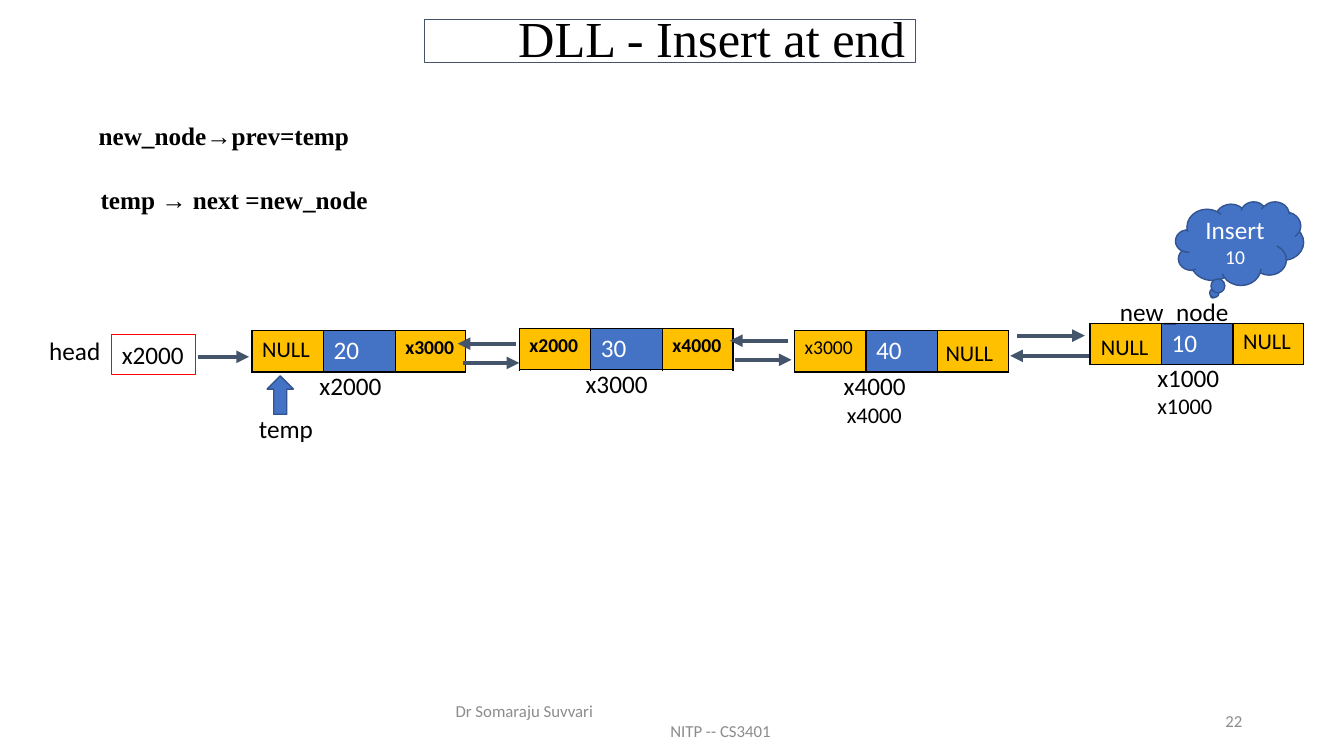
from lxml.etree import SubElement
from pptx import Presentation
from pptx.dml.color import RGBColor
from pptx.enum.shapes import MSO_CONNECTOR as Line, MSO_SHAPE as Shape
from pptx.enum.text import MSO_ANCHOR as Anchor, MSO_AUTO_SIZE as AutoSize, PP_ALIGN as Align
from pptx.oxml.ns import qn
from pptx.util import Pt

PX = 9144
BLACK, WHITE, GREY, SLATE = "000000", "FFFFFF", "8C8C8C", "44546A"
BLUE, BLUE_EDGE, GOLD, RED = "4472C4", "325491", "FFC000", "FF0000"
SERIF = "Times New Roman"


def px(*lengths):
    """Turn pixel lengths into EMU."""
    return [length * PX for length in lengths]


def rgb(code):
    """Turn a hex string into a colour."""
    return RGBColor.from_string(code)


def write(paragraph, words, size=18, color=BLACK, **formats):
    """Add a formatted run to a paragraph."""
    run = paragraph.add_run()
    run.text = words
    run.font.color.rgb = rgb(color)
    for key, value in {"name": "Calibri", "size": Pt(size), "bold": False, **formats}.items():
        setattr(run.font, key, value)


def label(slide, box, words, align=Align.LEFT, anchor=Anchor.TOP, **formats):
    """Place a text box with one line of text and return its frame."""
    frame = slide.shapes.add_textbox(*px(*box)).text_frame
    frame.word_wrap = True
    frame.vertical_anchor = anchor
    frame.paragraphs[0].alignment = align
    write(frame.paragraphs[0], words, **formats)
    return frame


def outline(shape, color, width):
    """Give a shape a solid outline."""
    shape.line.color.rgb = rgb(color)
    shape.line.width = Pt(width)


def block(slide, kind, box, fill, edge, width):
    """Place a preset shape without shadow."""
    shape = slide.shapes.add_shape(kind, *px(*box))
    shape.shadow.inherit = False
    if fill:
        shape.fill.solid()
        shape.fill.fore_color.rgb = rgb(fill)
    else:
        shape.fill.background()
    outline(shape, edge, width)
    return shape


def arrow(slide, start, end, y):
    """Draw a level arrow from start to end."""
    link = slide.shapes.add_connector(Line.STRAIGHT, *px(start, y, end, y))
    outline(link, SLATE, 3)
    SubElement(link.line._get_or_add_ln(), qn("a:tailEnd"), type="triangle")
    SubElement(link._element.spPr, qn("a:effectLst"))


def border(cell):
    """Put a thin black border on every side of a cell."""
    properties = cell._tc.get_or_add_tcPr()
    for place, side in enumerate(("a:lnL", "a:lnR", "a:lnT", "a:lnB")):
        edge = SubElement(properties, qn(side), w=str(Pt(1)))
        SubElement(SubElement(edge, qn("a:solidFill")), qn("a:srgbClr"), val=BLACK)
        properties.insert(place, edge)


def node(slide, left, top, parts, address, address_at):
    """Draw a list node as a three-cell table with its address below."""
    table = slide.shapes.add_table(1, 3, *px(left, top, 212, 41)).table
    table.first_row = table.horz_banding = False
    table.rows[0].height = 41 * PX
    fills, widths = (GOLD, BLUE, GOLD), (71, 71, 70)
    for column, (part, fill, width) in enumerate(zip(parts, fills, widths)):
        table.columns[column].width = width * PX
        cell = table.cell(0, column)
        cell.fill.solid()
        cell.fill.fore_color.rgb = rgb(fill)
        border(cell)
        if part:
            words, formats = part
            write(cell.text_frame.paragraphs[0], words, **formats)
    label(slide, (left + address_at, top + 34, 90, 40), address)


def heading(slide, box):
    """Fill and frame the slide title."""
    title = slide.shapes.title
    title.left, title.top, title.width, title.height = px(*box)
    outline(title, SLATE, 0.75)
    frame = title.text_frame
    frame.auto_size = AutoSize.NONE
    frame.vertical_anchor = Anchor.MIDDLE
    line = frame.paragraphs[0]
    line.alignment = Align.RIGHT
    line.line_spacing = 0.9
    write(line, "DLL - Insert at end", 36, name=SERIF)


def code_lines(slide, left, top):
    """Place the two pointer assignments."""
    label(slide, (left, top, 295, 40), "new_node→prev=temp", name=SERIF, bold=True)
    label(slide, (left + 2, top + 64, 307, 40), "temp → next =new_node", name=SERIF, bold=True)


def head_pointer(slide, left, top):
    """Draw the head pointer with its arrow."""
    label(slide, (left, top, 83, 40), "head")
    head = block(slide, Shape.RECTANGLE, (left + 72, top + 4, 83, 40), None, RED, 0.75)
    frame = head.text_frame
    frame.vertical_anchor = Anchor.TOP
    frame.paragraphs[0].alignment = Align.LEFT
    write(frame.paragraphs[0], "x2000")
    arrow(slide, left + 157, left + 208, top + 26)


def linked_list(slide, left, top):
    """Draw the four nodes, their links and their labels."""
    null, link = {"size": 16}, {"size": 14}
    bold, value = {"size": 14, "bold": True}, {"color": WHITE}
    nodes = (
        (0, 0, (("NULL", null), ("20", value), ("x3000", bold)), "x2000", 57),
        (265, -2, (("x2000", bold), ("30", value), ("x4000", bold)), "x3000", 56),
        (538, 0, (("x3000", link), ("40", value), None), "x4000", 39),
        (831, -7, (None, ("10", value), ("NULL", null)), "x1000", 57),
    )
    for x, y, parts, address, address_at in nodes:
        node(slide, left + x, top + y, parts, address, address_at)
    arrows = ((209, 265, 32), (262, 204, 13), (479, 535, 29), (532, 474, 10),
              (759, 826, 5), (830, 752, 25))
    for start, end, y in arrows:
        arrow(slide, left + start, left + end, top + y)
    notes = ((678, 4, "NULL"), (832, -2, "NULL"), (580, 65, "x4000"), (888, 56, "x1000"))
    for x, y, words in notes:
        label(slide, (left + x, top + y, 79, 37), words, **null)
    label(slide, (left + 851, top - 39, 149, 40), "new_node")


def temp_pointer(slide, left, top):
    """Draw the temp pointer below the first node."""
    block(slide, Shape.UP_ARROW, (left + 18, top, 26, 38), BLUE, BLUE_EDGE, 1)
    label(slide, (left, top + 32, 74, 40), "temp")


def insert_cloud(slide, box):
    """Draw the cloud that names the inserted value."""
    cloud = block(slide, Shape.CLOUD_CALLOUT, box, BLUE, BLUE_EDGE, 1)
    frame = cloud.text_frame
    frame.word_wrap = True
    frame.vertical_anchor = Anchor.MIDDLE
    line = frame.paragraphs[0]
    line.alignment = Align.CENTER
    write(line, "Insert ", 18, WHITE)
    write(line, "10", 14, WHITE)


def footer(slide, left, top):
    """Place the lecturer, the course and the page number."""
    small = {"size": 12, "color": GREY, "anchor": Anchor.MIDDLE}
    frame = label(slide, (left, top, 450, 40), "Dr Somaraju Suvvari", **small)
    course = frame.add_paragraph()
    course._p.get_or_add_pPr().set("marL", str(213 * PX))
    write(course, "NITP -- CS3401", 12, GREY)
    label(slide, (left + 500, top, 300, 40), "22", Align.RIGHT, **small)


def main():
    """Build and save the slide."""
    deck = Presentation()
    deck.slide_width, deck.slide_height = px(1333, 750)
    slide = deck.slides.add_slide(deck.slide_layouts[5])
    heading(slide, (421, 19, 487, 43))
    code_lines(slide, 88, 114)
    head_pointer(slide, 39, 328)
    linked_list(slide, 250, 328)
    temp_pointer(slide, 247, 373)
    insert_cloud(slide, (1166, 200, 127, 83))
    footer(slide, 442, 695)
    deck.save("out.pptx")


if __name__ == "__main__":
    main()
